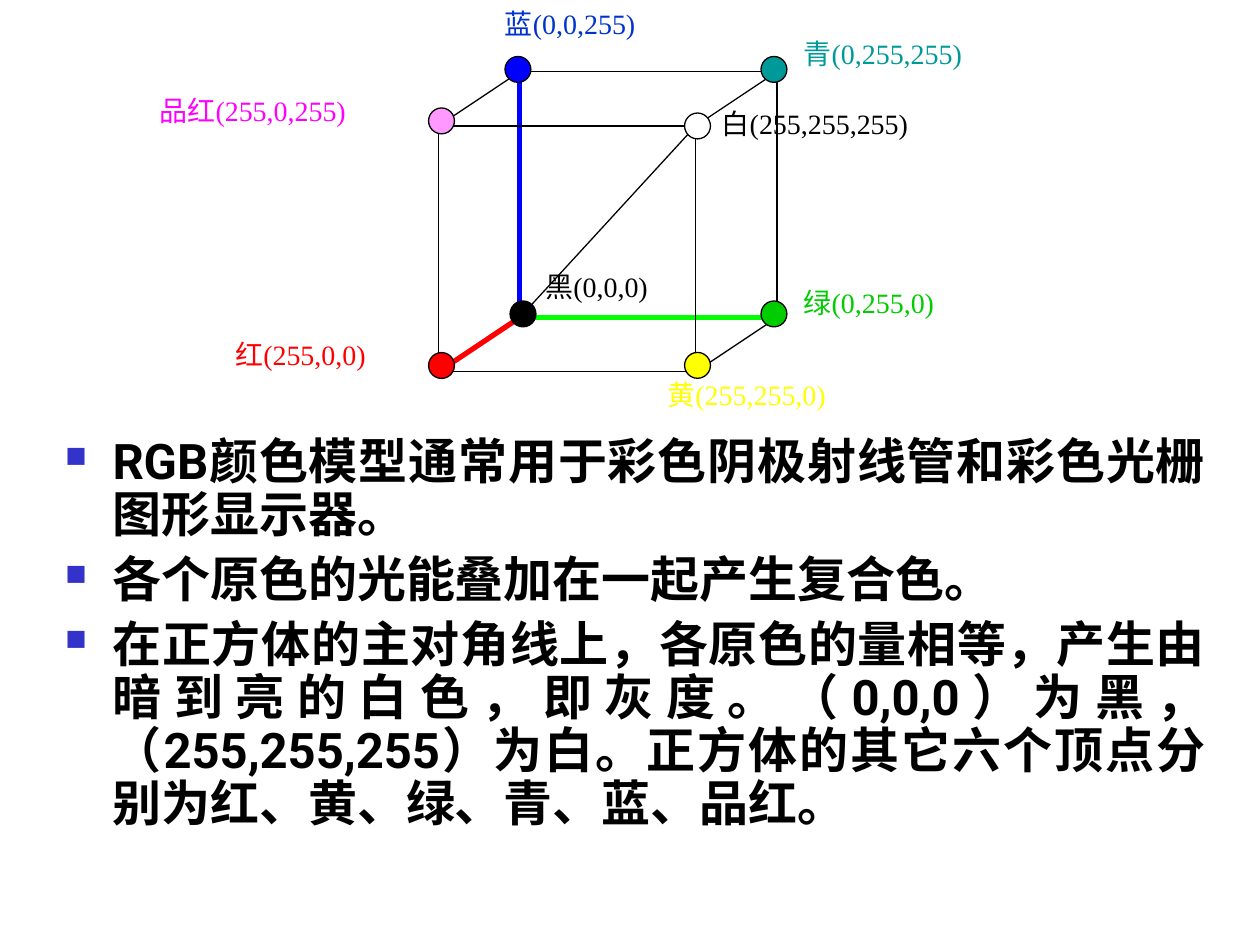
from itertools import combinations

from lxml import etree
from pptx import Presentation
from pptx.dml.color import RGBColor
from pptx.enum import shapes, text
from pptx.oxml import ns
from pptx.util import Pt

COLORS = {
    "black": "000000", "white": "FFFFFF", "red": "FF0000",
    "yellow": "FFFF00", "green": "00CC00", "cyan": "009999",
    "blue": "0000FF", "blue label": "0033CC", "magenta": "FF99FF",
    "magenta label": "FF00FF", "green axis": "00FF00", "bullet": "3333CC",
}
SERIF, SANS = "Times New Roman", "Roboto"
DOT = 14.8
LABEL_HEIGHT = 26.6

# Corner (r, g, b): colour, dot nudge, label text, label left, top, width
VERTICES = {
    (1, 1, 0): ("yellow", (1.1, -3.7), "黄(255,255,0)", (123.9, 171.4, 170.6)),
    (0, 0, 0): ("black", (1.9, -2.1), "黑(0,0,0)", (54.1, 109.5, 100.8)),
    (0, 1, 0): ("green", (-1.7, -2.1), "绿(0,255,0)", (201.7, 118.8, 159.1)),
    (0, 1, 1): ("cyan", (-1.7, -1.3), "青(0,255,255)", (201.7, -23.7, 165.6)),
    (0, 0, 1): ("blue", (-1, -1.3), "蓝(0,0,255)", (31, -41, 139)),
    (1, 0, 1): ("magenta", (1.8, -2.9), "品红(255,0,255)", (-166.3, 8.7, 162.7)),
    (1, 1, 1): ("white", (1.1, 0), "白(255,255,255)", (154.9, 16.6, 161.3)),
    (1, 0, 0): ("red", (1.8, -3.6), "红(255,0,0)", (-123.1, 148.4, 143.3)),
}
AXES = {(1, 0, 0): "red", (0, 1, 0): "green axis", (0, 0, 1): "blue"}
BLACK, WHITE = (0, 0, 0), (1, 1, 1)

BULLETS = [
    [("RGB", SANS),
     ("颜色模型通常用于彩色阴极射线管和彩色光栅图形显示器。", SERIF)],
    [("各个原色的光能叠加在一起产生复合色。", SERIF)],
    [("在正方体的主对角线上，各原色的量相等，产生由暗到亮的白色，即灰度。（", SERIF),
     ("0,0,0", SANS),
     ("）为黑，（", SERIF),
     ("255,255,255", SANS),
     ("）为白。正方体的其它六个顶点分别为红、黄、绿、青、蓝、品红。", SERIF)],
]


def color(name):
    return RGBColor.from_string(COLORS[name])


def add_run(paragraph, words, font, size, color_name, bold=False):
    run = paragraph.add_run()
    run.text = words
    run.font.name = font
    run.font.size = Pt(size)
    run.font.bold = bold
    run.font.color.rgb = color(color_name)


def add_line(group, start, end, color_name="black", width=0.75):
    line = group.shapes.add_connector(
        shapes.MSO_CONNECTOR.STRAIGHT, *map(Pt, (*start, *end)))
    line.line.color.rgb = color(color_name)
    line.line.width = Pt(width)
    etree.SubElement(line._element.spPr, ns.qn("a:effectLst"))


def add_label(group, words, color_name, left, top, width):
    box = group.shapes.add_textbox(*map(Pt, (left, top, width, LABEL_HEIGHT)))
    frame = box.text_frame
    frame.word_wrap = True
    frame.auto_size = text.MSO_AUTO_SIZE.SHAPE_TO_FIT_TEXT
    add_run(frame.paragraphs[0], words, SERIF, 16, color_name)


def add_dot(group, center, color_name):
    x, y = center
    dot = group.shapes.add_shape(
        shapes.MSO_SHAPE.OVAL, Pt(x - DOT / 2), Pt(y - DOT / 2), Pt(DOT), Pt(DOT))
    dot.shadow.inherit = False
    dot.fill.solid()
    dot.fill.fore_color.rgb = color(color_name)
    dot.line.color.rgb = color("black")
    dot.line.width = Pt(0.75)


def add_color_cube(slide, left, top, width, height, depth=(46.5, 31)):
    group = slide.shapes.add_group_shape()
    depth_x, depth_y = depth

    def corner(vertex):
        red, green, blue = vertex
        return (left + (1 - red) * depth_x + green * (width - depth_x),
                top + red * depth_y + (1 - blue) * (height - depth_y))

    for start, end in combinations(sorted(VERTICES), 2):
        if sum(a != b for a, b in zip(start, end)) == 1:
            axis = AXES.get(end) if start == BLACK else None
            add_line(group, corner(start), corner(end),
                     axis or "black", 3 if axis else 0.75)
    add_line(group, corner(BLACK), corner(WHITE))

    for vertex, (name, nudge, words, (x, y, label_width)) in VERTICES.items():
        label_color = "black" if vertex == WHITE else name
        if f"{name} label" in COLORS:
            label_color = f"{name} label"
        add_label(group, words, label_color, left + x, top + y, label_width)
    for vertex, (name, nudge, *_) in VERTICES.items():
        x, y = corner(vertex)
        add_dot(group, (x + nudge[0], y + nudge[1]), name)


def add_bullet(paragraph):
    properties = paragraph._p.get_or_add_pPr()
    properties.set("marL", str(Pt(27)))
    properties.set("indent", str(Pt(-27)))
    bullet_color = etree.SubElement(properties, ns.qn("a:buClr"))
    etree.SubElement(bullet_color, ns.qn("a:srgbClr"), val=COLORS["bullet"])
    etree.SubElement(properties, ns.qn("a:buSzPct"), val="60000")
    etree.SubElement(properties, ns.qn("a:buChar"), char="■")


def add_explanation(slide, left, top, width, height):
    box = slide.shapes.add_textbox(*map(Pt, (left, top, width, height)))
    frame = box.text_frame
    frame.word_wrap = True
    for index, runs in enumerate(BULLETS):
        paragraph = frame.add_paragraph() if index else frame.paragraphs[0]
        add_bullet(paragraph)
        paragraph.alignment = text.PP_ALIGN.JUSTIFY
        paragraph.line_spacing = 0.9
        paragraph.space_before = Pt(7 if index else 0)
        for words, font in runs:
            add_run(paragraph, words, font, 28, "black", bold=True)


def main():
    presentation = Presentation()
    presentation.slide_width = Pt(720)
    presentation.slide_height = Pt(540)
    slide = presentation.slides.add_slide(presentation.slide_layouts[6])
    add_explanation(slide, 30.2, 246.2, 666, 239.8)
    add_color_cube(slide, 250.5, 41, 193.5, 171.5)
    presentation.save("out.pptx")


if __name__ == "__main__":
    main()
